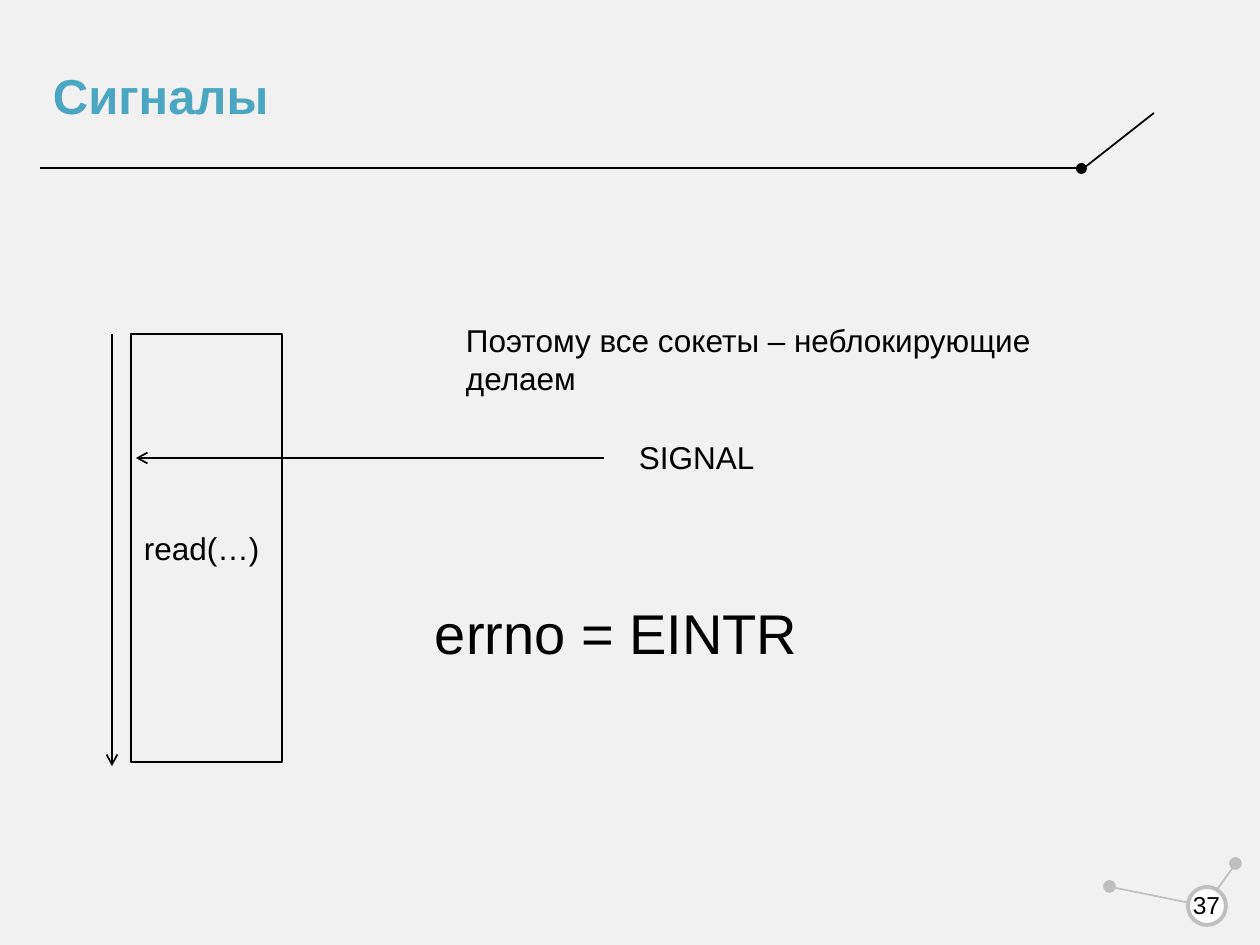
from pptx import Presentation, util as u
from pptx.dml.color import RGBColor
from pptx.enum import shapes, text
from pptx.oxml.ns import qn
from lxml import etree

PX = 914400 // 126
BLACK, GREY, WHITE = "000000", "BFBFBF", "FFFFFF"


def color(value):
    return RGBColor.from_string(value)


def write(frame, words, size, ink=BLACK, bold=False, wrap=True, inset=(13, 6),
          anchor=text.MSO_ANCHOR.TOP, align=text.PP_ALIGN.LEFT):
    frame.word_wrap = wrap
    frame.vertical_anchor = anchor
    frame.margin_left = frame.margin_right = inset[0] * PX
    frame.margin_top = frame.margin_bottom = inset[1] * PX
    paragraph = frame.paragraphs[0]
    paragraph.alignment = align
    run = paragraph.add_run()
    run.text = words
    run.font.name = "Arial"
    run.font.size = u.Pt(size)
    run.font.bold = bold
    run.font.color.rgb = color(ink)


deck = Presentation()
deck.slide_width, deck.slide_height = 1260 * PX, 945 * PX
slide = deck.slides.add_slide(deck.slide_layouts[6])
slide.background.fill.solid()
slide.background.fill.fore_color.rgb = color("F1F1F1")

for start, end, ink, arrow in [
    ((40, 168), (1076, 168), BLACK, False),
    ((1084, 168), (1154, 113), BLACK, False),
    ((1234, 866), (1216, 891), GREY, False),
    ((1111, 887), (1200, 905), GREY, False),
    ((112, 334), (112, 766), BLACK, True),
    ((604, 458), (136, 458), BLACK, True),
]:
    line = slide.shapes.add_connector(
        shapes.MSO_CONNECTOR.STRAIGHT, *[v * PX for v in start + end])
    line.line.color.rgb = color(ink)
    line.line.width = u.Pt(1)
    if arrow:
        etree.SubElement(line.line._get_or_add_ln(), qn("a:tailEnd"), type="arrow")
    etree.SubElement(line._element.spPr, qn("a:effectLst"))

OVAL, RECT = shapes.MSO_SHAPE.OVAL, shapes.MSO_SHAPE.RECTANGLE
for kind, box, fill, ink, width in [
    (OVAL, (1076, 163, 11, 11), BLACK, None, 0),
    (OVAL, (1230, 858, 11, 11), GREY, GREY, 1),
    (OVAL, (1104, 881, 11, 11), GREY, GREY, 1),
    (OVAL, (1188, 887, 38, 38), WHITE, GREY, 2.25),
    (RECT, (131, 334, 151, 428), None, BLACK, 0.75),
]:
    figure = slide.shapes.add_shape(kind, *[v * PX for v in box])
    figure.shadow.inherit = False
    if fill:
        figure.fill.solid()
        figure.fill.fore_color.rgb = color(fill)
    else:
        figure.fill.background()
    if ink:
        figure.line.color.rgb = color(ink)
        figure.line.width = u.Pt(width)
    else:
        figure.line.fill.background()
    if kind == RECT:
        write(figure.text_frame, "read(…)", 18, inset=(13, 195))

MIDDLE = text.MSO_ANCHOR.MIDDLE
for box, words, size, style in [
    ((40, 35, 1036, 120), "Сигналы", 28,
     {"ink": "4BA6C1", "bold": True, "anchor": MIDDLE}),
    ((1180, 880, 53, 50), "37", 14,
     {"inset": (0, 0), "anchor": MIDDLE, "align": text.PP_ALIGN.CENTER}),
    ((626, 432, 160, 50), "SIGNAL", 18, {}),
    ((422, 592, 423, 79), "errno = EINTR", 32, {"wrap": False}),
    ((453, 315, 707, 48), "Поэтому все сокеты – неблокирующие делаем", 18, {}),
]:
    label = slide.shapes.add_textbox(*[v * PX for v in box])
    write(label.text_frame, words, size, **style)

deck.save("out.pptx")
